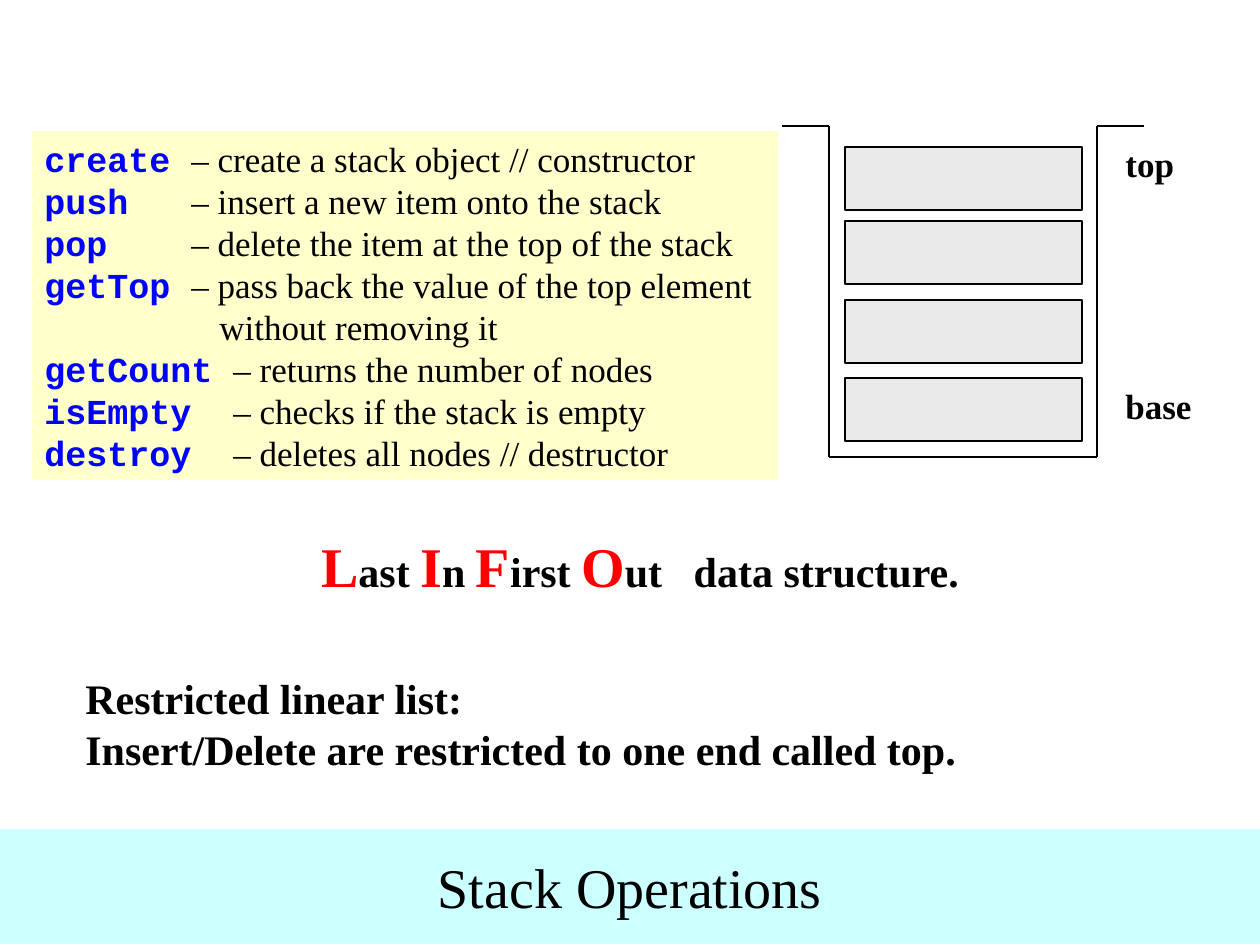
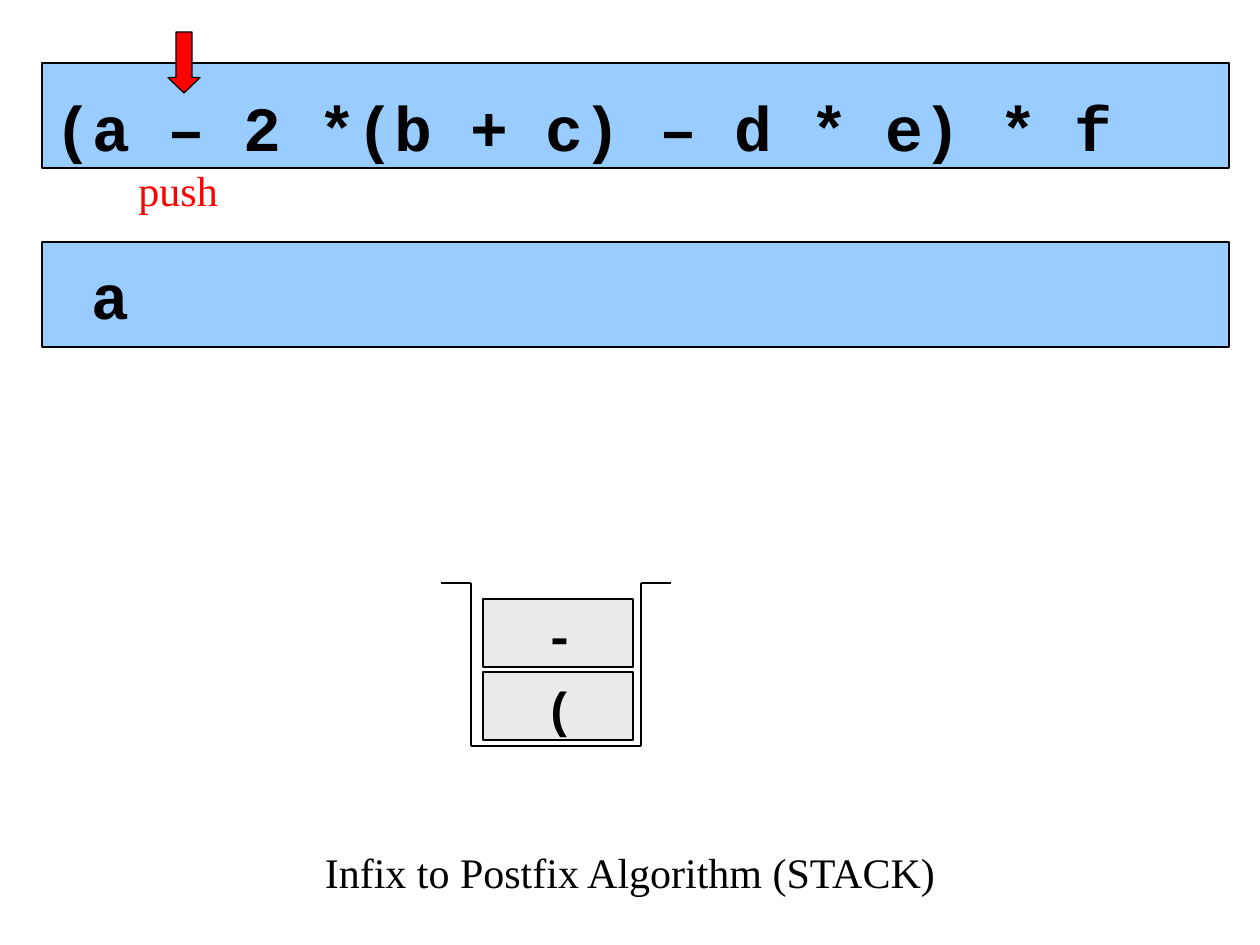
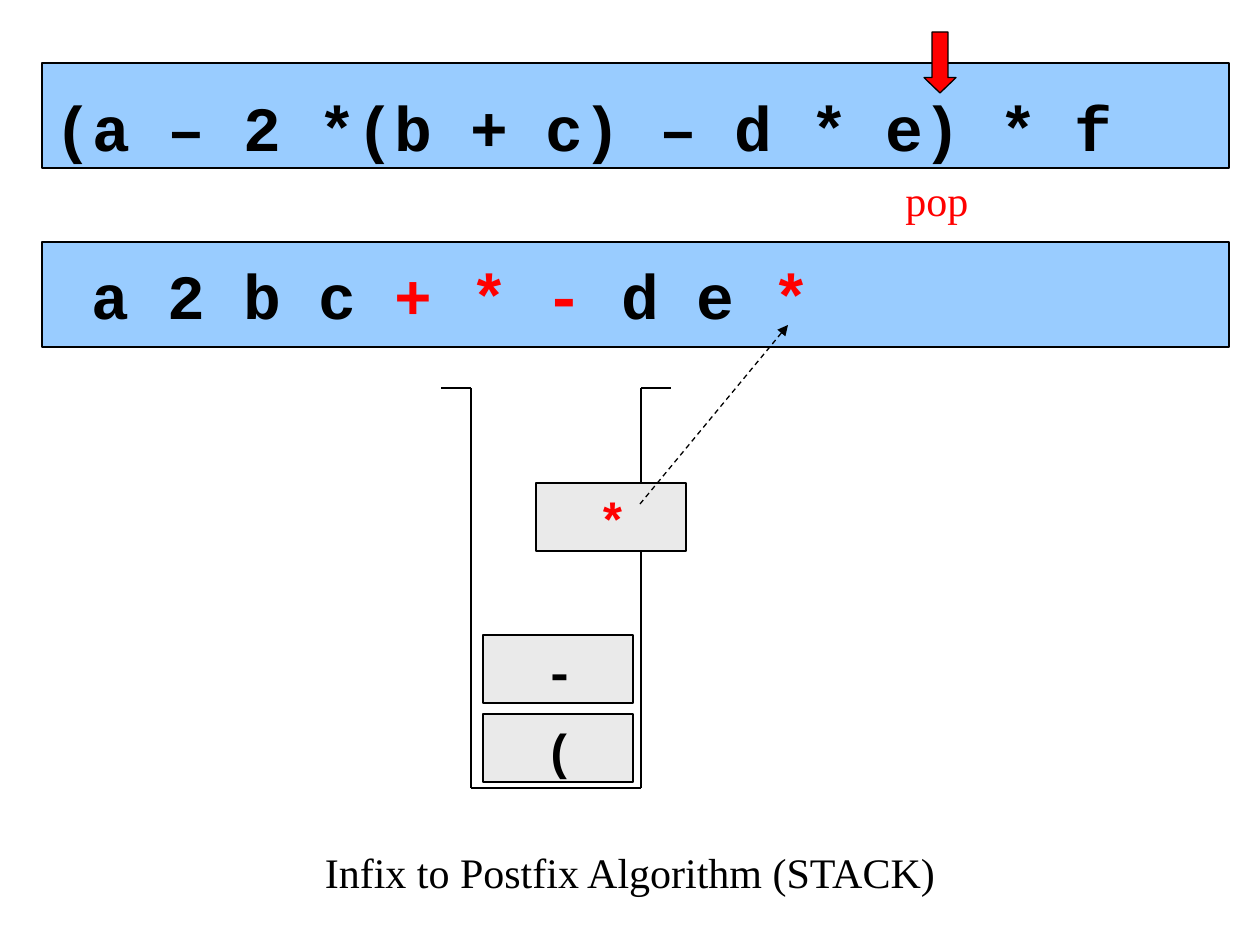
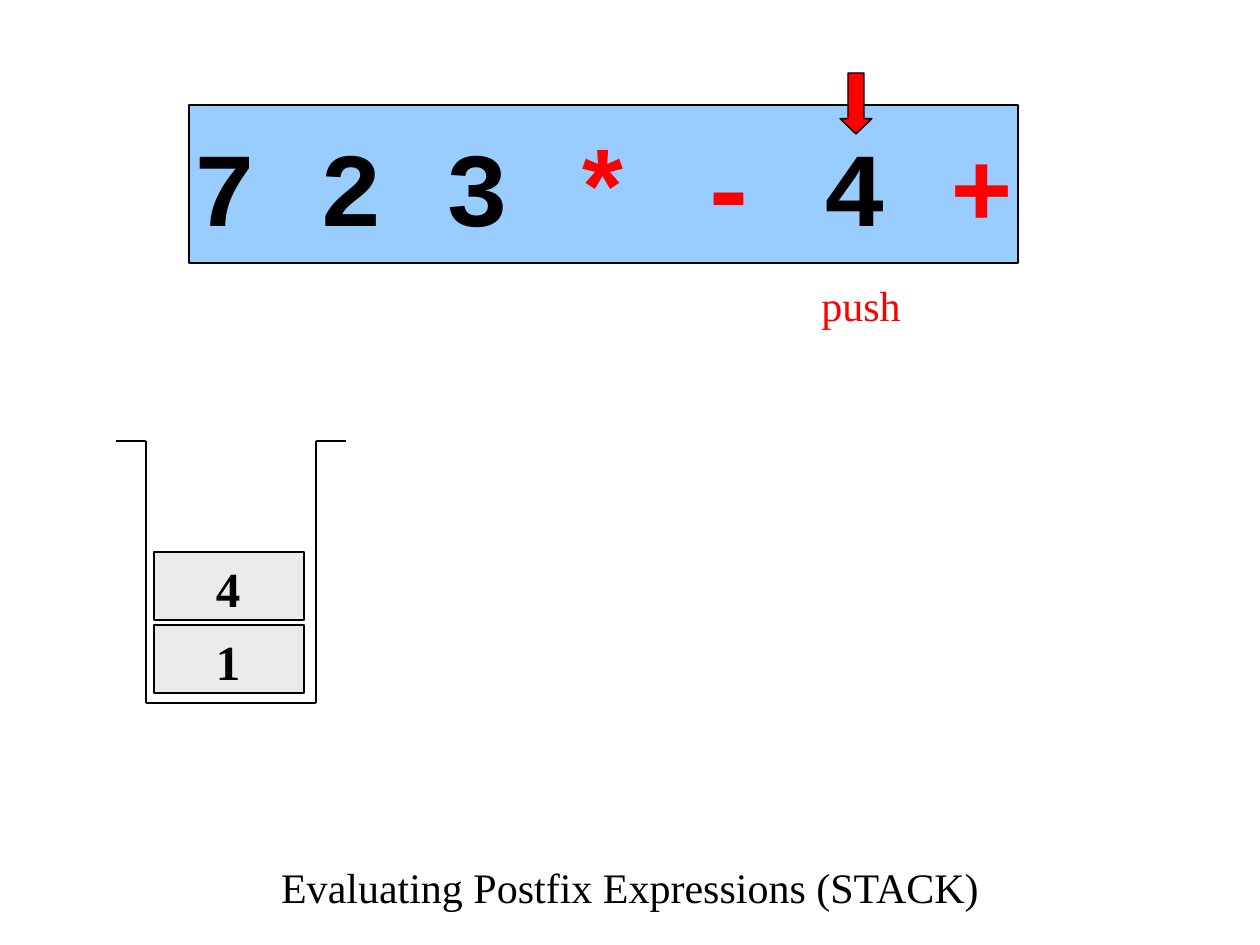
from typing import Any, NamedTuple

from lxml.etree import SubElement
from pptx import Presentation
from pptx.dml.color import RGBColor
from pptx.enum.dml import MSO_LINE as Dash
from pptx.enum.shapes import MSO_CONNECTOR as Conn, MSO_SHAPE as Kind
from pptx.enum.text import MSO_ANCHOR as Anchor, MSO_AUTO_SIZE as Auto, PP_ALIGN as Align
from pptx.oxml.ns import qn
from pptx.util import Emu, Pt

# Shared style
SCALE = 914400 / 126  # EMU in one px
WIDE, HIGH = 1260, 945
SERIF, MONO = "Times New Roman", "Courier New"
BLACK, RED, BLUE, WHITE = "000000", "FF0000", "0000FF", "FFFFFF"
GREY, SKY, CREAM, AQUA = "EAEAEA", "99CCFF", "FFFFCC", "CCFFFF"
INFIX = "(a – 2 *(b + c) – d * e) * f"


class Box(NamedTuple):
    x: int
    y: int
    w: int
    h: int


class Run(NamedTuple):
    text: str
    size: int
    hue: str = BLACK
    bold: bool = False
    face: str = SERIF
    track: int = 0  # extra width after each letter, in points


class Line(NamedTuple):
    runs: list[Run]
    align: Align = Align.LEFT
    before: float = 0
    indent: int = 0
    tab: int = 0


class Well(NamedTuple):
    x: int
    rim: int
    floor: int
    width: int = 170
    lip: int = 30


class Cell(NamedTuple):
    x: int
    y: int
    text: str
    face: str = MONO
    hue: str = BLACK


def px(n: int) -> Emu:
    return Emu(round(n * SCALE))


def rgb(code: str) -> RGBColor:
    return RGBColor.from_string(code)


def span(box: Box) -> list[Emu]:
    return [px(n) for n in box]


# Text
def write(frame: Any, lines: list[Line], **form: Any) -> None:
    form = {"word_wrap": True, "auto_size": Auto.NONE, "vertical_anchor": Anchor.TOP} | form
    for key, val in form.items():
        setattr(frame, key, val)
    for i, line in enumerate(lines):
        para = frame.add_paragraph() if i else frame.paragraphs[0]
        props = para._p.get_or_add_pPr()
        if line.indent:
            props.set("marL", str(px(line.indent)))
            props.set("indent", "0")
        if line.tab:
            tabs = SubElement(props, qn("a:tabLst"))
            SubElement(tabs, qn("a:tab"), pos=str(px(line.tab)), algn="l")
        para.alignment = line.align
        if line.before:
            para.space_before = Pt(line.before)
        for part in line.runs:
            run = para.add_run()
            run.text = part.text
            font = {"name": part.face, "size": Pt(part.size), "bold": part.bold}
            for key, val in font.items():
                setattr(run.font, key, val)
            run.font.color.rgb = rgb(part.hue)
            if part.track:
                run._r.get_or_add_rPr().set("spc", str(part.track * 100))


def label(slide: Any, box: Box, run: Run) -> None:
    write(slide.shapes.add_textbox(*span(box)).text_frame, [Line([run])])


# Shapes
def block(slide: Any, box: Box, fill: str, edge: bool = True, kind: Kind = Kind.RECTANGLE) -> Any:
    shape = slide.shapes.add_shape(kind, *span(box))
    shape.shadow.inherit = False
    shape.fill.solid()
    shape.fill.fore_color.rgb = rgb(fill)
    if edge:
        shape.line.color.rgb = rgb(BLACK)
        shape.line.width = Pt(0.75)
    else:
        shape.line.fill.background()
    return shape


def link(slide: Any, start: tuple[int, int], end: tuple[int, int], arrow: bool = False) -> None:
    line = slide.shapes.add_connector(Conn.STRAIGHT, *map(px, start + end))
    line.line.color.rgb = rgb(BLACK)
    line.line.width = Pt(0.75)
    if arrow:
        line.line.dash_style = Dash.DASH
        SubElement(line.line._get_or_add_ln(), qn("a:tailEnd"), type="triangle")
    SubElement(line._element.spPr, qn("a:effectLst"))


def draw_well(slide: Any, well: Well) -> None:
    left, right = well.x, well.x + well.width
    spots = [(left - well.lip, well.rim), (left, well.rim), (left, well.floor),
             (right, well.floor), (right, well.rim), (right + well.lip, well.rim)]
    for start, end in zip(spots, spots[1:]):
        link(slide, start, end)


def draw_cell(slide: Any, cell: Cell) -> None:
    shape = block(slide, Box(cell.x, cell.y, 150, 68), GREY)
    run = Run(cell.text, 28, cell.hue, True, cell.face)
    write(shape.text_frame, [Line([run])], margin_left=px(62))


def draw_bar(slide: Any, box: Box, runs: list[Run], align: Align = Align.LEFT, **form: Any) -> None:
    shape = block(slide, box, SKY)
    write(shape.text_frame, [Line(runs, align)], vertical_anchor=Anchor.MIDDLE, **form)


def code(size: int, *parts: str) -> list[Run]:
    """Code runs that switch between black and red."""
    return [Run(text, size, (BLACK, RED)[i % 2], True, MONO) for i, text in enumerate(parts)]


def point(slide: Any, x: int, y: int) -> None:
    arrow = block(slide, Box(x, y, 32, 61), RED, kind=Kind.DOWN_ARROW)
    arrow.adjustments[0], arrow.adjustments[1] = 0.5, 0.48


def start(deck: Any, title: str, top: int, high: int, size: int = 24, fill: str = WHITE) -> Any:
    """Add a slide with its title band at the foot."""
    slide = deck.slides.add_slide(deck.slide_layouts[5])
    band = slide.shapes.title
    band.left, band.top, band.width, band.height = span(Box(0, top, WIDE, high))
    band.fill.solid()
    band.fill.fore_color.rgb = rgb(fill)
    write(band.text_frame, [Line([Run(title, size)], Align.CENTER)], vertical_anchor=Anchor.MIDDLE)
    return slide


# Slide 1
def show_ops(deck: Any) -> None:
    slide = start(deck, "Stack Operations", 829, 115, 32, AQUA)
    draw_well(slide, Well(829, 126, 457, 268, 47))
    for y in (147, 221, 300, 378):
        block(slide, Box(845, y, 237, 63), GREY)
    for text, y in (("top", 136), ("base", 378)):
        label(slide, Box(1113, y, 126, 63), Run(text, 20, bold=True))

    # Last in, first out
    lifo = []
    for word in ("Last ", "In ", "First ", "Out"):
        lifo += [Run(word[0], 32, RED, True), Run(word[1:], 24, bold=True)]
    lifo += [Run(" ", 24, bold=True, track=12), Run("data structure.", 24, bold=True)]
    notes = [Line(lifo, Align.CENTER),
             Line([Run("Restricted linear list:", 24, bold=True)], before=42.6),
             Line([Run("Insert/Delete are restricted to one end called top.", 24, bold=True)])]
    write(slide.shapes.add_textbox(*span(Box(73, 525, 1134, 257))).text_frame, notes)

    # Operations, with the dash at a tab stop
    near, far = 147, 189
    ops = [("create", near, "– create a stack object // constructor"),
           ("push", near, "– insert a new item onto the stack"),
           ("pop", near, "– delete the item at the top of the stack"),
           ("getTop", near, "– pass back the value of the top element"),
           ("getCount", far, "– returns the number of nodes"),
           ("isEmpty", far, "– checks if the stack is empty"),
           ("destroy", far, "– deletes all nodes // destructor")]
    lines = [Line([Run(name + "\t", 20, BLUE, True, MONO), Run(text, 20)], tab=tab)
             for name, tab, text in ops]
    lines.insert(4, Line([Run("without removing it", 20)], indent=175))
    panel = block(slide, Box(32, 131, 746, 349), CREAM, edge=False)
    write(panel.text_frame, lines)


# Slides 2 and 3
def show_infix(deck: Any, well: Well, arrow: int, act: str, spot: Box,
               output: list[Run], cells: list[Cell]) -> Any:
    slide = start(deck, "Infix to Postfix Algorithm (STACK)", 798, 147)
    draw_bar(slide, Box(42, 63, 1187, 105), code(36, INFIX), margin_top=px(22), margin_bottom=0)
    draw_bar(slide, Box(42, 242, 1187, 105), output, margin_left=px(50))
    point(slide, arrow, 32)
    label(slide, spot, Run(act, 24, RED))
    draw_well(slide, well)
    for cell in cells:
        draw_cell(slide, cell)
    return slide


# Slide 4
def show_value(deck: Any) -> None:
    slide = start(deck, "Evaluating Postfix Expressions (STACK)", 829, 115)
    draw_well(slide, Well(146, 441, 703))
    draw_bar(slide, Box(189, 105, 829, 158), code(60, "7 2 3 ", "* -", " 4 ", "+"),
             Align.CENTER, word_wrap=False)
    point(slide, 840, 73)
    label(slide, Box(809, 273, 116, 63), Run("push", 24, RED))
    for y, text in ((625, "1"), (552, "4")):
        draw_cell(slide, Cell(154, y, text, SERIF))


def main() -> None:
    deck = Presentation()
    deck.slide_width, deck.slide_height = px(WIDE), px(HIGH)
    show_ops(deck)
    show_infix(deck, Well(471, 583, 746), 168, "push", Box(126, 158, 105, 63),
               code(36, "a"), [Cell(483, 672, "("), Cell(483, 599, "-")])
    slide = show_infix(deck, Well(471, 388, 788), 924, "pop", Box(893, 168, 88, 63),
                       code(36, "a 2 b c ", "+ * -", " d e ", "*"),
                       [Cell(483, 714, "("), Cell(483, 635, "-"), Cell(536, 483, "*", hue=RED)])
    link(slide, (640, 504), (788, 325), arrow=True)
    show_value(deck)
    deck.save("out.pptx")


if __name__ == "__main__":
    main()
